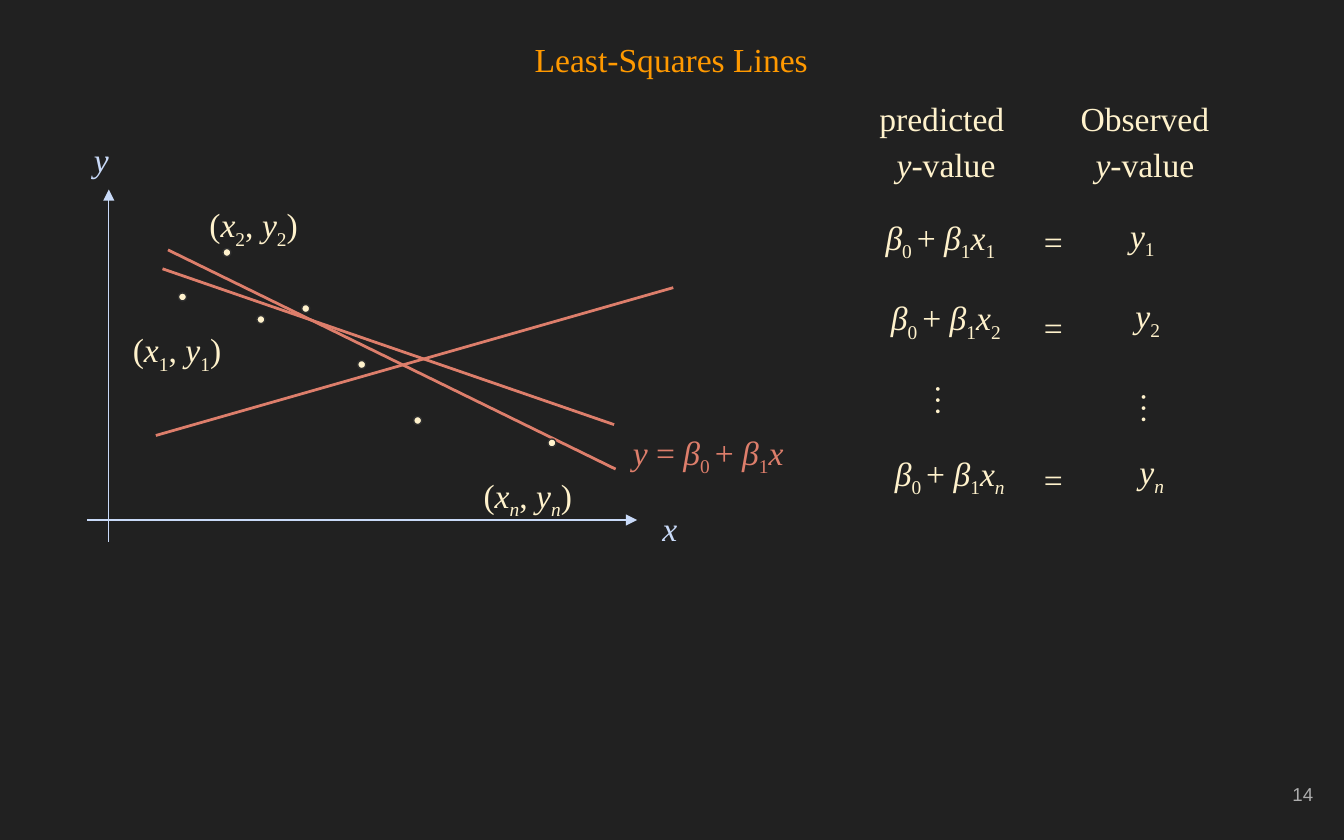
from dataclasses import dataclass

from lxml.etree import SubElement
from pptx import Presentation
from pptx.dml.color import RGBColor
from pptx.enum.shapes import MSO_CONNECTOR as CONN, MSO_SHAPE as SHAPE
from pptx.enum.text import MSO_ANCHOR as ANCHOR, MSO_AUTO_SIZE as FIT, PP_ALIGN as ALIGN
from pptx.oxml.ns import qn
from pptx.util import Pt


@dataclass(frozen=True)
class Theme:
    """Colours, fonts and type sizes of the deck."""
    back: str = "212121"
    title: str = "FF9900"
    text: str = "FFF2CC"
    axis: str = "C9DAF8"
    fit: str = "DD7E6B"
    edge: str = "303030"
    number: str = "ADADAD"
    serif: str = "Times New Roman"
    sans: str = "Arial"
    size: int = 18
    small: int = 10
    spacing: float = 1.15
    inset: float = 7.2


T = Theme()
ITALICS = {"x", "y", "n", "β"}


def rgb(value):
    """Turn a hex string into a colour."""
    return RGBColor.from_string(value)


def style(font, color, size=T.size, name=T.serif):
    """Set the face, size and colour of a font."""
    font.name, font.size = name, Pt(size)
    font.color.rgb = rgb(color)


def add_math(p, markup, color):
    """Add runs split at bars; an underscore starts a subscript."""
    for part in markup.split("|"):
        r = p.add_run()
        r.text = part.lstrip("_")
        style(r.font, color)
        r.font.italic = r.text in ITALICS
        if part.startswith("_"):
            r.font._element.set("baseline", "-25000")


def set_frame(tf, anchor):
    """Give a text frame the common insets and wrapping."""
    tf.word_wrap, tf.auto_size, tf.vertical_anchor = True, FIT.NONE, anchor
    tf.margin_left = tf.margin_right = tf.margin_top = tf.margin_bottom = Pt(T.inset)


def add_label(s, x, y, w, lines, color=T.text, align=ALIGN.LEFT, h=34.6):
    """Place a text box with one paragraph per line of markup."""
    tf = s.shapes.add_textbox(Pt(x), Pt(y), Pt(w), Pt(h)).text_frame
    set_frame(tf, ANCHOR.TOP)
    for i, markup in enumerate(lines):
        p = tf.add_paragraph() if i else tf.paragraphs[0]
        p.alignment, p.line_spacing = align, T.spacing
        add_math(p, markup, color)


def add_line(s, start, end, color, width, arrow=False):
    """Draw a straight line, with an arrowhead at its end if asked."""
    ln = s.shapes.add_connector(CONN.STRAIGHT, *map(Pt, start + end))
    ln.line.color.rgb, ln.line.width = rgb(color), Pt(width)
    if arrow:
        SubElement(ln.line._get_or_add_ln(), qn("a:tailEnd"), type="triangle")
    SubElement(ln._element.spPr, qn("a:effectLst"))


def add_title(s, x, y, w, h):
    """Fill and move the title placeholder."""
    sp = s.shapes.title
    sp.left, sp.top, sp.width, sp.height = map(Pt, (x, y, w, h))
    set_frame(sp.text_frame, ANCHOR.MIDDLE)
    p = sp.text_frame.paragraphs[0]
    p.alignment = ALIGN.CENTER
    r = p.add_run()
    r.text = "Least-Squares Lines"
    style(r.font, T.title)


def add_plot(s, x, y):
    """Draw axes, candidate lines, data points and their labels."""
    def at(dx, dy):
        return x + dx, y + dy

    for start, end in (((3.8, 214.6), (298.3, 214.6)), ((15.3, 226.2), (15.3, 37.5))):
        add_line(s, at(*start), at(*end), T.axis, 0.75, arrow=True)
    for start, end in (((47, 69.9), (286.8, 187.3)), ((44.1, 80), (286, 163.5)),
                       ((40.5, 169.3), (317.7, 90.1))):
        add_line(s, at(*start), at(*end), T.fit, 1.5)

    d = 4.3
    for cx, cy in ((54.8, 95.1), (78.6, 71.3), (96.8, 107.2), (120.8, 101.3),
                   (150.8, 131.3), (180.8, 161.3), (252.7, 173.3)):
        dot = s.shapes.add_shape(SHAPE.OVAL, *map(Pt, at(cx - d / 2, cy - d / 2)), Pt(d), Pt(d))
        dot.shadow.inherit = False
        dot.fill.solid()
        dot.fill.fore_color.rgb = rgb(T.text)
        dot.line.color.rgb, dot.line.width = rgb(T.edge), Pt(0.75)

    for name, dx, dy in (("1", 21.1, 101.6), ("2", 62.1, 34.6), ("n", 209, 179.4)):
        add_label(s, *at(dx, dy), 69, [f"(|x|_{name}|, |y|_{name}|)"])
    add_label(s, *at(304.8, 197.4), 31, ["x"], T.axis)
    add_label(s, *at(0.2, 0.1), 31, ["y"], T.axis)
    add_label(s, *at(288.9, 156.3), 109.4, ["y| = |β|_0 |+ |β|_1|x"], T.fit)


def add_equations(s, x, y):
    """List predicted against observed values under two headings."""
    for head, dx, w in (("predicted ", 0.3, 105.1), ("Observed", 98.2, 122.4)):
        add_label(s, x + dx, y, w, [head, "y|-value"], align=ALIGN.CENTER, h=41.8)
    for name, dx, dy, equal in (("1", 13.3, 63.3, 66.2), ("2", 16.2, 106.5, 112.3),
                                ("n", 18.3, 190, 193.6)):
        add_label(s, x + dx, y + dy, 82.8, [f"β|_0 |+ |β|_1|x|_{name}"])
        add_label(s, x + dx + 131, y + dy - 1, 34.6, [f"y|_{name}"], h=36.7)
        add_label(s, x + 98.2, y + equal, 44.6, ["="])
    for dx, dy in ((39.2, 151.2), (149.4, 155.5)):
        add_label(s, x + dx, y + dy, 31, ["⋮"])


def add_number(s, x, y, w, h):
    """Place the slide number."""
    tf = s.shapes.add_textbox(*map(Pt, (x, y, w, h))).text_frame
    set_frame(tf, ANCHOR.MIDDLE)
    p = tf.paragraphs[0]
    p.alignment = ALIGN.RIGHT
    r = p.add_run()
    r.text = "14"
    style(r.font, T.number, T.small, T.sans)


def main():
    """Build and save the slide."""
    prs = Presentation()
    prs.slide_width, prs.slide_height = Pt(720), Pt(450)
    s = prs.slides.add_slide(prs.slide_layouts[5])
    s.background.fill.solid()
    s.background.fill.fore_color.rgb = rgb(T.back)
    add_title(s, 34.6, 10.8, 650.2, 41.8)
    add_plot(s, 43, 64)
    add_equations(s, 454, 41.8)
    add_number(s, 667.4, 408.2, 43.2, 34.6)
    prs.save("out.pptx")


if __name__ == "__main__":
    main()
